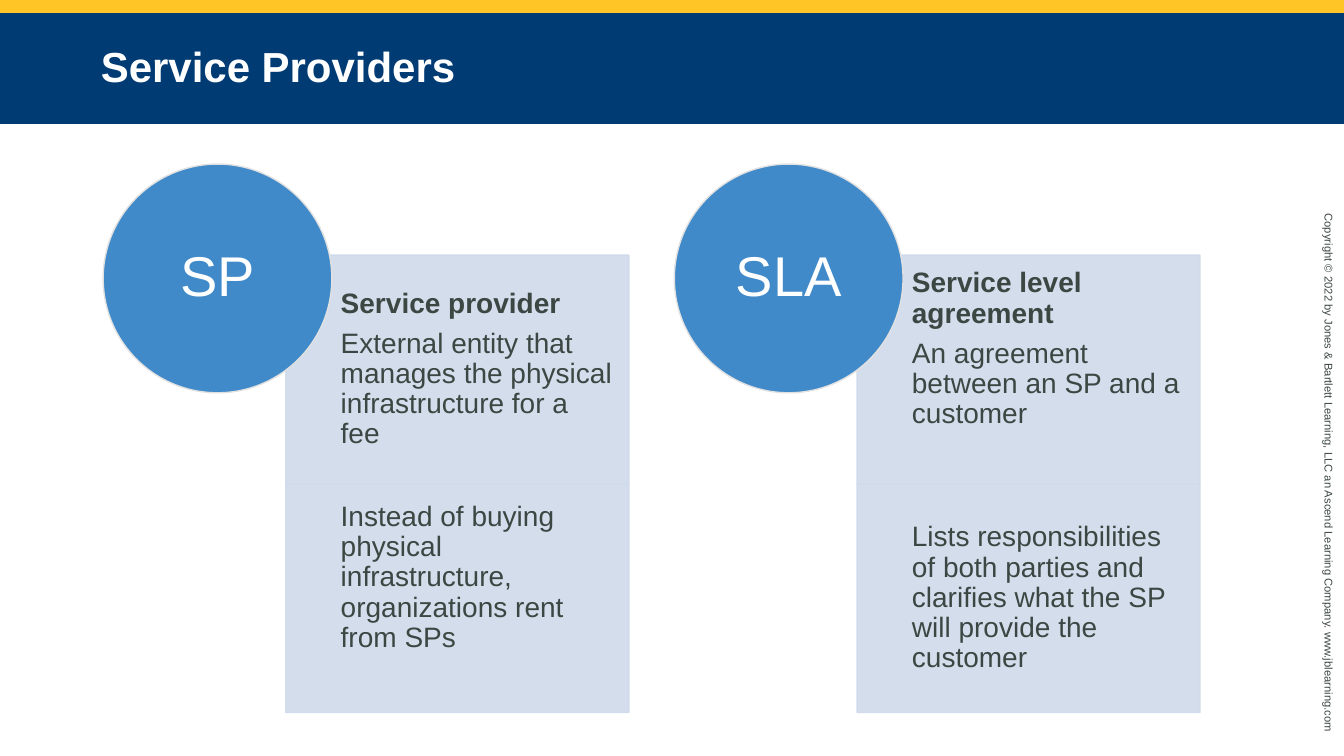
from pptx import Presentation
from pptx.dml.color import RGBColor
from pptx.enum.shapes import MSO_SHAPE
from pptx.enum.text import MSO_ANCHOR, PP_ALIGN
from pptx.oxml.ns import qn
from pptx.util import Pt
from lxml import etree

WHITE = RGBColor(0xFF, 0xFF, 0xFF)
GOLD = RGBColor(0xFF, 0xC4, 0x25)
NAVY = RGBColor(0x00, 0x3B, 0x74)
BLUE = RGBColor(0x41, 0x8A, 0xC9)
PALE_BLUE = RGBColor(0xCF, 0xDA, 0xEB)
LIGHT_GREY = RGBColor(0xE1, 0xE1, 0xE1)
DARK_GREY = RGBColor(0x3C, 0x47, 0x43)

PAGE_WIDTH, PAGE_HEIGHT = 960, 540
GROUP_LEFT, GROUP_STEP = 73.7, 408
CIRCLE_TOP, CIRCLE_SIZE = 117.2, 163.4
PANEL_TOP, PANEL_OFFSET, PANEL_WIDTH, PANEL_HEIGHT = 182.2, 130.5, 245, 163.4
TEXT_INDENT, TEXT_MARGIN = 39.2, 11.5
RAISED_MARGIN = TEXT_MARGIN + 29

COPYRIGHT = ("Copyright © 2022 by Jones & Bartlett Learning, LLC an Ascend "
             "Learning Company. www.jblearning.com")

# Each panel: heading, body, bottom margin
GROUPS = [
    ("SP", [
        ("Service provider",
         "External entity that manages the physical infrastructure for a fee",
         TEXT_MARGIN),
        (None,
         "Instead of buying physical infrastructure, organizations rent from SPs",
         RAISED_MARGIN),
    ]),
    ("SLA", [
        ("Service level agreement",
         "An agreement between an SP and a customer",
         RAISED_MARGIN),
        (None,
         "Lists responsibilities of both parties and clarifies what the SP "
         "will provide the customer",
         TEXT_MARGIN),
    ]),
]


def add_shape(page, kind, left, top, width, height, fill, line=None):
    shape = page.shapes.add_shape(kind, Pt(left), Pt(top), Pt(width), Pt(height))
    shape.shadow.inherit = False
    shape.fill.solid()
    shape.fill.fore_color.rgb = fill
    if line is None:
        shape.line.fill.background()
    else:
        shape.line.color.rgb = line
        shape.line.width = Pt(1)
    return shape


def set_opacity(shape, percent):
    """Apply the opacity to both fill and line."""
    for color in shape._element.spPr.iter(qn("a:srgbClr")):
        etree.SubElement(color, qn("a:alpha"), val=str(percent * 1000))


def set_margins(frame, left, top, right, bottom):
    frame.margin_left, frame.margin_top = Pt(left), Pt(top)
    frame.margin_right, frame.margin_bottom = Pt(right), Pt(bottom)


def style_paragraph(paragraph, size, color, bold=False,
                    align=PP_ALIGN.LEFT, spacing=0.9):
    paragraph.alignment = align
    paragraph.line_spacing = spacing
    for span in paragraph.runs:
        span.font.name = "Arial"
        span.font.size = Pt(size)
        span.font.bold = bold
        span.font.color.rgb = color


def add_title(page, text):
    banner = add_shape(page, MSO_SHAPE.RECTANGLE, 0, 9.4, PAGE_WIDTH, 79.2, NAVY)
    frame = banner.text_frame
    frame.word_wrap = True
    frame.vertical_anchor = MSO_ANCHOR.MIDDLE
    set_margins(frame, 72, 3.6, 72, 3.6)
    frame.text = text
    style_paragraph(frame.paragraphs[0], 30, WHITE, bold=True, spacing=0.95)


def add_copyright(page):
    box = page.shapes.add_textbox(Pt(751.7), Pt(334.1), Pt(394.6), Pt(17.3))
    box.rotation = 90
    frame = box.text_frame
    frame.word_wrap = True
    frame.text = COPYRIGHT
    style_paragraph(frame.paragraphs[0], 8, DARK_GREY, spacing=1.0)


def add_panel(page, left, top, heading, body, bottom_margin):
    panel = add_shape(page, MSO_SHAPE.RECTANGLE, left, top,
                      PANEL_WIDTH, PANEL_HEIGHT, PALE_BLUE, PALE_BLUE)
    set_opacity(panel, 90)
    box = page.shapes.add_textbox(Pt(left + TEXT_INDENT), Pt(top),
                                  Pt(PANEL_WIDTH - TEXT_INDENT), Pt(PANEL_HEIGHT))
    frame = box.text_frame
    frame.word_wrap = True
    frame.vertical_anchor = MSO_ANCHOR.MIDDLE
    set_margins(frame, 0, TEXT_MARGIN, TEXT_MARGIN, bottom_margin)
    frame.text = "\n".join(filter(None, (heading, body)))
    for paragraph in frame.paragraphs:
        style_paragraph(paragraph, 20, DARK_GREY, bold=paragraph.text == heading)
        paragraph.space_after = Pt(7)


def add_circle(page, left, label):
    circle = add_shape(page, MSO_SHAPE.OVAL, left, CIRCLE_TOP,
                       CIRCLE_SIZE, CIRCLE_SIZE, BLUE, LIGHT_GREY)
    frame = circle.text_frame
    frame.vertical_anchor = MSO_ANCHOR.MIDDLE
    set_margins(frame, 0, 0, 0, 0)
    frame.text = label
    style_paragraph(frame.paragraphs[0], 40, WHITE, align=PP_ALIGN.CENTER)


def main():
    deck = Presentation()
    deck.slide_width, deck.slide_height = Pt(PAGE_WIDTH), Pt(PAGE_HEIGHT)
    page = deck.slides.add_slide(deck.slide_layouts[6])
    add_shape(page, MSO_SHAPE.RECTANGLE, 0, 0, PAGE_WIDTH, 9.4, GOLD)
    add_copyright(page)
    add_title(page, "Service Providers")
    for column, (label, panels) in enumerate(GROUPS):
        left = GROUP_LEFT + column * GROUP_STEP
        for row, panel in enumerate(panels):
            add_panel(page, left + PANEL_OFFSET,
                      PANEL_TOP + row * PANEL_HEIGHT, *panel)
        add_circle(page, left, label)
    deck.save("out.pptx")


if __name__ == "__main__":
    main()
